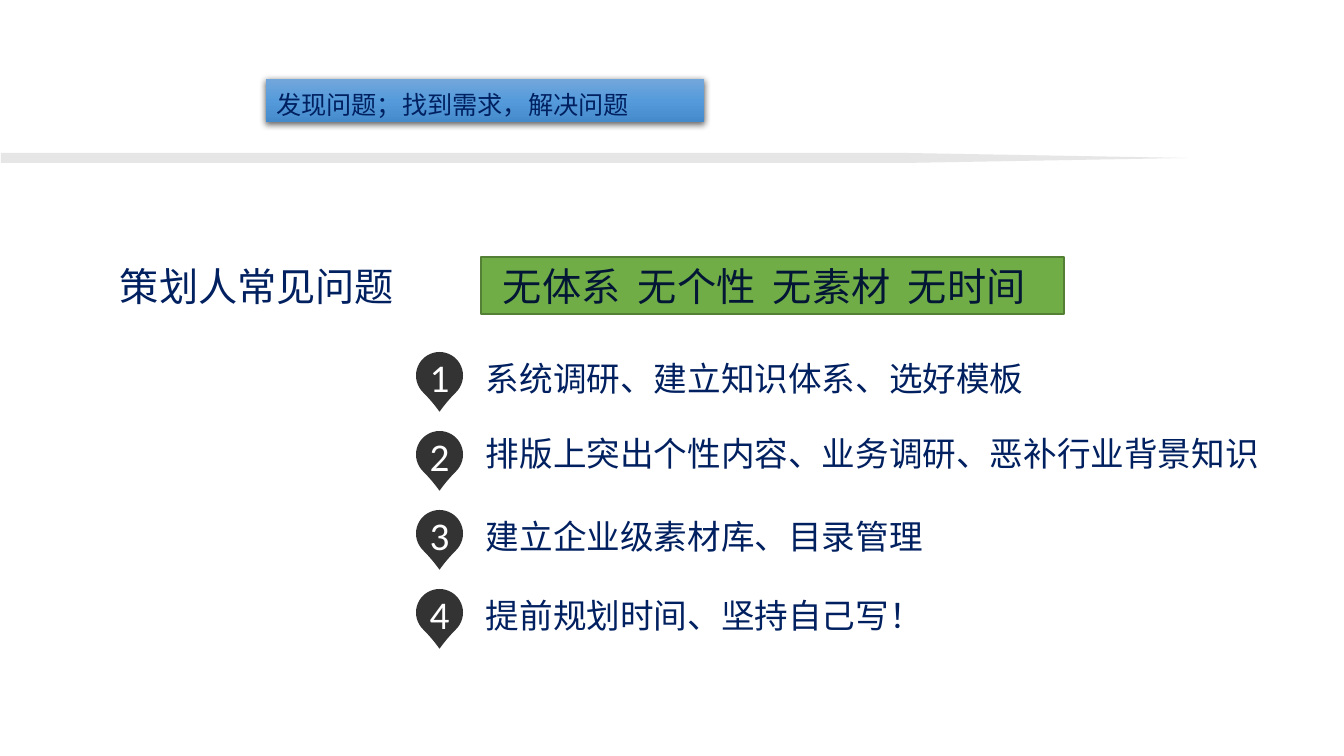
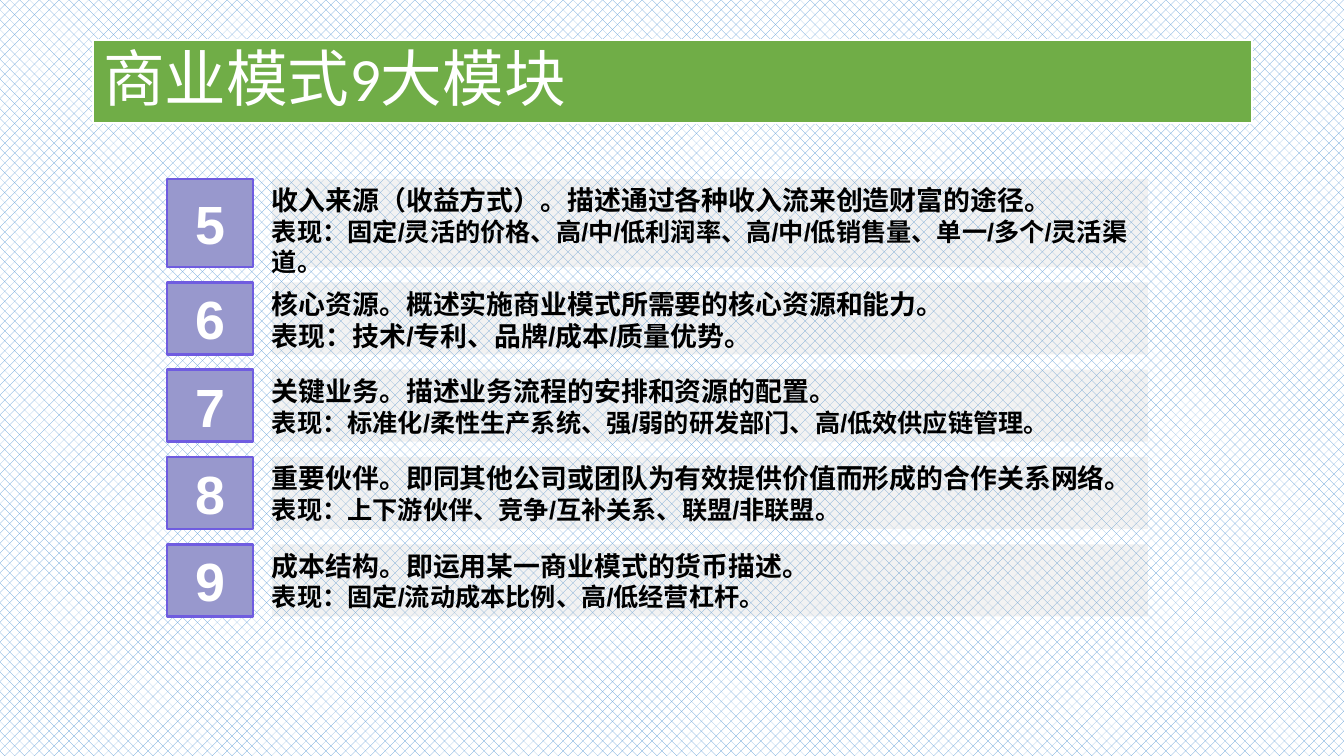
"""Build two slides: common planner problems and business model modules."""
from copy import deepcopy
from dataclasses import dataclass

from lxml.etree import SubElement
from pptx import Presentation
from pptx.dml.color import RGBColor
from pptx.enum.dml import MSO_PATTERN as Pattern
from pptx.enum.shapes import MSO_SHAPE as Shape
from pptx.enum.text import MSO_ANCHOR as Anchor, MSO_AUTO_SIZE as AutoSize, PP_ALIGN as Align
from pptx.oxml.ns import qn
from pptx.util import Pt


@dataclass(frozen=True)
class Theme:
    white: str = "FFFFFF"
    black: str = "000000"
    navy: str = "002060"
    ink: str = "031635"
    green: str = "70AD47"
    green_edge: str = "538035"
    pin: str = "333333"
    rule: str = "E7E6E6"
    weave: str = "5B9BD5"
    badge: str = "9898CD"
    badge_edge: str = "6F5CE0"
    strip: str = "BFBFBF"
    banner: tuple = ("73A7DB", "559BDB", "458ACA")
    cjk: str = "Noto Sans CJK SC"
    sans: str = "Calibri"
    serif: str = "Times New Roman"
    block: str = "Arial"
    banner_size: float = 18
    heading_size: float = 28
    answer_size: float = 24
    title_size: float = 44
    badge_size: float = 38.4
    summary_size: float = 19.2
    detail_size: float = 18


THEME = Theme()
PX = 914400 / 100.8

BANNER = "发现问题；找到需求，解决问题"
HEADING = "策划人常见问题"
PROBLEMS = ["无体系", "无个性", "无素材", "无时间"]
ANSWERS = [
    ("系统调研、建立知识体系、选好模板", 1),
    ("排版上突出个性内容、业务调研、恶补行业背景知识", -3),
    ("建立企业级素材库、目录管理", 1),
    ("提前规划时间、坚持自己写！", 1),
]
MODULES_TITLE = "商业模式9大模块"
FIRST_MODULE = 5
MODULES = [
    ("收入来源（收益方式）。描述通过各种收入流来创造财富的途径。",
     "表现：固定/灵活的价格、高/中/低利润率、高/中/低销售量、单一/多个/灵活渠道。",
     THEME.detail_size, 88),
    ("核心资源。概述实施商业模式所需要的核心资源和能力。",
     "表现：技术/专利、品牌/成本/质量优势。", THEME.summary_size, 72),
    ("关键业务。描述业务流程的安排和资源的配置。",
     "表现：标准化/柔性生产系统、强/弱的研发部门、高/低效供应链管理。",
     THEME.detail_size, 72),
    ("重要伙伴。即同其他公司或团队为有效提供价值而形成的合作关系网络。",
     "表现：上下游伙伴、竞争/互补关系、联盟/非联盟。", THEME.detail_size, 72),
    ("成本结构。即运用某一商业模式的货币描述。",
     "表现：固定/流动成本比例、高/低经营杠杆。", THEME.detail_size, 72),
]


def px(value):
    return round(value * PX)


def rgb(color):
    return RGBColor.from_string(color)


def paint(part, color, edge=None, weight=1):
    part.shadow.inherit = False
    part.fill.solid()
    part.fill.fore_color.rgb = rgb(color)
    if edge:
        part.line.color.rgb = rgb(edge)
        part.line.width = Pt(weight)
    else:
        part.line.fill.background()


def write(part, lines, font, color, sizes, bold=False, align=Align.LEFT,
          anchor=Anchor.TOP, wrap=True):
    frame = part.text_frame
    frame.text = "\n".join(lines)
    frame.auto_size = AutoSize.NONE
    frame.word_wrap = wrap
    frame.vertical_anchor = anchor
    for paragraph, size in zip(frame.paragraphs, sizes):
        paragraph.alignment = align
        for run in paragraph.runs:
            run.font.name = font
            run.font.size = Pt(size)
            run.font.bold = bold
            run.font.color.rgb = rgb(color)
            east_asian = SubElement(run.font._element, qn("a:ea"))
            east_asian.set("typeface", THEME.cjk)
    return frame


def add_block(holder, kind, box, color, edge=None, weight=1, adjust=None):
    block = holder.shapes.add_shape(kind, *map(px, box))
    paint(block, color, edge, weight)
    if adjust is not None:
        block.adjustments[0] = adjust
    return block


def add_label(slide, box, lines, font, color, sizes, **style):
    label = slide.shapes.add_textbox(*map(px, box))
    return write(label, lines, font, color, sizes, **style)


def add_title(slide, box, text, color, size, anchor, spacing):
    title = slide.shapes.title
    title.left, title.top, title.width, title.height = map(px, box)
    frame = write(title, [text], THEME.sans, color, [size], anchor=anchor)
    frame.paragraphs[0].line_spacing = spacing
    return title


def shade_banner(banner):
    paint(banner, THEME.banner[0])
    banner.fill.gradient()
    banner.fill.gradient_angle = 270
    properties = banner._element.spPr
    stops = properties.find(".//" + qn("a:gsLst"))
    stops.insert(1, deepcopy(stops[0]))
    for stop, color, position in zip(banner.fill.gradient_stops, THEME.banner, (0, 0.5, 1)):
        stop.color.rgb = rgb(color)
        stop.position = position
    shadow = SubElement(properties.find(qn("a:effectLst")), qn("a:outerShdw"),
                        blurRad=str(Pt(4.5)), dist=str(Pt(1.5)), dir="5400000", rotWithShape="0")
    tone = SubElement(shadow, qn("a:srgbClr"), val=THEME.black)
    SubElement(tone, qn("a:alpha"), val="63000")


def add_pin(slide, left, top, number):
    size, dot = 47, 29
    pin = slide.shapes.add_group_shape()
    drop = add_block(pin, Shape.TEAR, (left, top, size, size), THEME.pin, adjust=1.09)
    drop.rotation = 135
    face = add_block(pin, Shape.OVAL, (left + (size - dot) / 2, top + 10, dot, dot), THEME.pin)
    write(face, [str(number)], THEME.sans, THEME.white, [THEME.heading_size],
          align=Align.CENTER, anchor=Anchor.MIDDLE, wrap=False)


def build_problems(slide):
    banner = add_title(slide, (266, 79, 438, 43), BANNER, THEME.navy,
                       THEME.banner_size, Anchor.TOP, Pt(25))
    shade_banner(banner)
    add_block(slide, Shape.PENTAGON, (1, 153, 1187, 10), THEME.rule, adjust=28.27)
    add_label(slide, (110, 257, 297, 57), [HEADING], THEME.cjk, THEME.navy,
              [THEME.heading_size], wrap=False)
    band = add_block(slide, Shape.RECTANGLE, (481, 257, 583, 57), THEME.green, THEME.green_edge)
    frame = write(band, ["\t".join(PROBLEMS)], THEME.cjk, THEME.ink, [THEME.heading_size])
    frame.margin_left = px(22)
    tabs = SubElement(frame.paragraphs[0]._p.get_or_add_pPr(), qn("a:tabLst"))
    for column in range(1, len(PROBLEMS)):
        SubElement(tabs, qn("a:tab"), pos=str(px(135 * column)), algn="l")
    for index, (answer, nudge) in enumerate(ANSWERS):
        top = 352 + 79 * index
        add_pin(slide, 416, top, index + 1)
        add_label(slide, (476, top + nudge, 812, 50), [answer], THEME.serif, THEME.navy,
                  [THEME.answer_size])


def build_modules(slide):
    weave = slide.background.fill
    weave.patterned()
    weave.pattern = Pattern.PERCENT_30
    weave.fore_color.rgb = rgb(THEME.weave)
    weave.back_color.rgb = rgb(THEME.white)
    title = add_title(slide, (93, 40, 1159, 83), MODULES_TITLE, THEME.white,
                      THEME.title_size, Anchor.MIDDLE, 0.9)
    paint(title, THEME.green, THEME.white, 1.5)
    top, gap = 179, 46 / 3
    for number, (summary, detail, detail_size, height) in enumerate(MODULES, FIRST_MODULE):
        row = slide.shapes.add_group_shape()
        badge = add_block(row, Shape.ROUNDED_RECTANGLE, (167, top, 86, height),
                          THEME.badge, THEME.badge_edge, 2, adjust=0)
        write(badge, [str(number)], THEME.block, THEME.white, [THEME.badge_size],
              bold=True, align=Align.CENTER, anchor=Anchor.MIDDLE)
        strip = add_block(row, Shape.ROUNDED_RECTANGLE, (272, top, 876, height),
                          THEME.strip, adjust=0)
        tone = strip._element.spPr.find(qn("a:solidFill"))[0]
        SubElement(tone, qn("a:alpha"), val="20000")
        add_label(slide, (262, top, 895, height + 2), [summary, detail], THEME.block,
                  THEME.black, [THEME.summary_size, detail_size], bold=True)
        top += height + gap


def main():
    deck = Presentation()
    deck.slide_width, deck.slide_height = px(1344), px(756)
    title_only = deck.slide_layouts[5]
    for build in (build_problems, build_modules):
        build(deck.slides.add_slide(title_only))
    deck.save("out.pptx")


if __name__ == "__main__":
    main()
